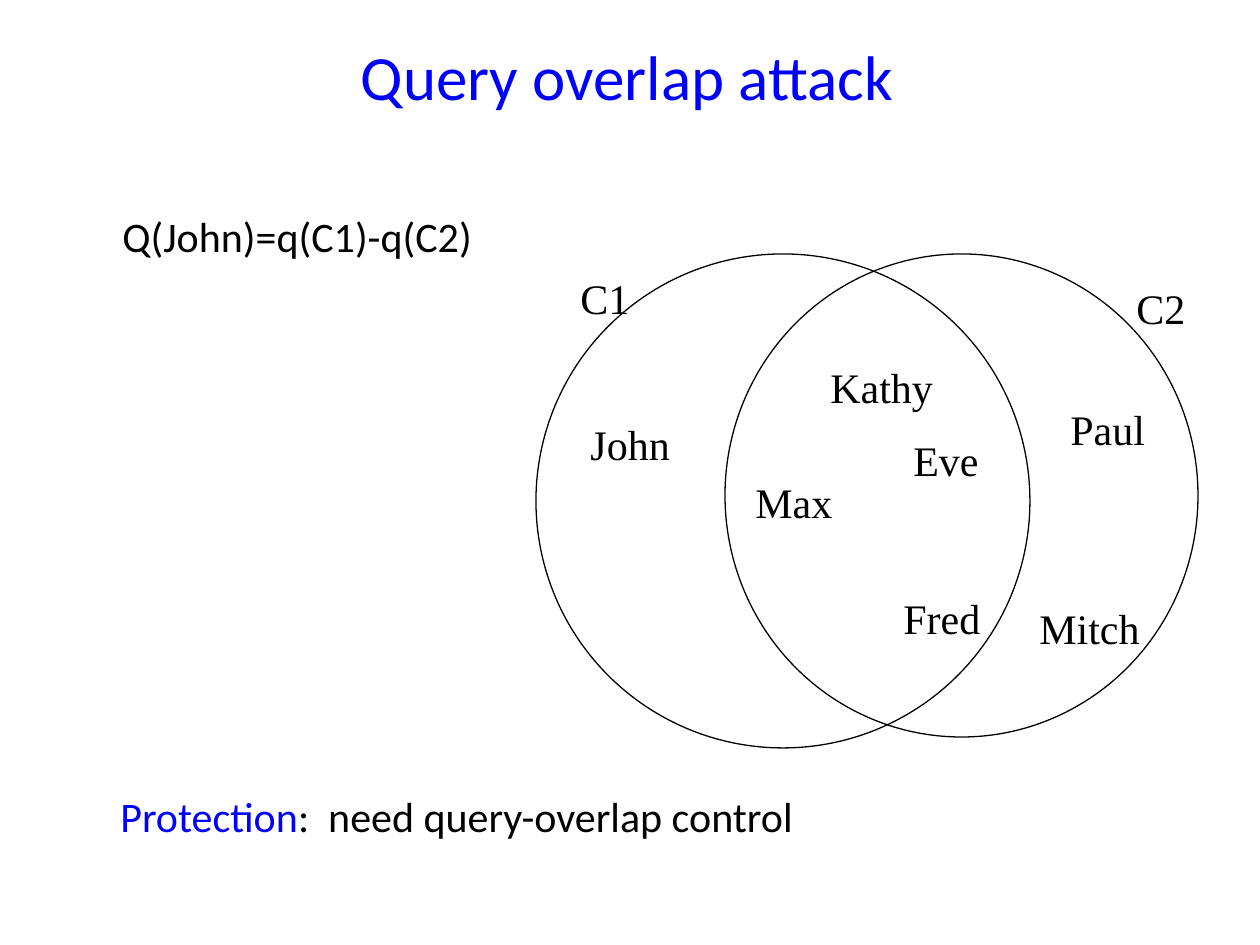
from pptx import Presentation
from pptx.dml.color import RGBColor
from pptx.enum.shapes import MSO_SHAPE as SHAPE
from pptx.enum.text import MSO_ANCHOR as ANCHOR, MSO_AUTO_SIZE as AUTO, PP_ALIGN as ALIGN
from pptx.util import Emu, Inches, Pt

BLACK = RGBColor(0x00, 0x00, 0x00)
BLUE = RGBColor(0x00, 0x00, 0xFF)
WHITE = RGBColor(0xFF, 0xFF, 0xFF)
SANS, SERIF = "Calibri", "Times New Roman"
PX = Inches(1) / 126


def px(*lengths):
    return [Emu(round(n * PX)) for n in lengths]


class Deck:
    """Holds the text style and the current slide."""

    def __init__(self, prs):
        self.body = {"name": SANS, "size": Pt(24), "bold": False}
        self.slide = prs.slides.add_slide(prs.slide_layouts[5])

    def add_runs(self, p, runs, **style):
        for text, color in runs:
            r = p.add_run()
            r.text = text
            for key, value in {**self.body, **style}.items():
                setattr(r.font, key, value)
            r.font.color.rgb = color

    def title(self, text, box):
        sp = self.slide.shapes.title
        sp.left, sp.top, sp.width, sp.height = px(*box)
        sp.fill.solid()
        sp.fill.fore_color.rgb = WHITE
        tf = sp.text_frame
        tf.vertical_anchor = ANCHOR.MIDDLE
        tf.auto_size = AUTO.NONE
        p = tf.paragraphs[0]
        p.alignment = ALIGN.CENTER
        self.add_runs(p, [(text, BLUE)], size=Pt(36))

    def circle(self, parent, box):
        sp = parent.shapes.add_shape(SHAPE.OVAL, *px(*box))
        sp.shadow.inherit = False
        sp.fill.background()
        sp.line.color.rgb = BLACK
        sp.line.width = Pt(0.75)

    def text(self, parent, runs, box, wrap=False, **style):
        sp = parent.shapes.add_textbox(*px(*box))
        tf = sp.text_frame
        tf.word_wrap = wrap
        tf.auto_size = AUTO.SHAPE_TO_FIT_TEXT
        self.add_runs(tf.paragraphs[0], runs, **style)


prs = Presentation()
prs.slide_width, prs.slide_height = Inches(10), Inches(7.5)
deck = Deck(prs)
deck.title("Query overlap attack", (60, 34, 1134, 83))

# Venn diagram of the two query sets
venn = deck.slide.shapes.add_group_shape()
for box in [(536, 254, 494, 494), (725, 254, 473, 483)]:
    deck.circle(venn, box)

# Set names and members: text, left, top, width
LABELS = [
    ("C1", 568, 266, 74),
    ("C2", 1124, 276, 74),
    ("John", 578, 412, 105),
    ("Kathy", 818, 355, 129),
    ("Max", 743, 470, 102),
    ("Fred", 891, 586, 102),
    ("Eve", 901, 428, 91),
    ("Paul", 1058, 397, 100),
    ("Mitch", 1027, 596, 126),
]
for name, left, top, width in LABELS:
    deck.text(venn, [(name, BLACK)], (left, top, width, 63), name=SERIF)

# Attack formula and countermeasure
deck.text(deck.slide, [("Q(John)=q(C1)-q(C2)", BLACK)], (110, 204, 428, 63))
deck.text(deck.slide, [("Protection", BLUE), (":  need query-overlap control", BLACK)],
          (108, 784, 1032, 63), wrap=True)

prs.save("out.pptx")
